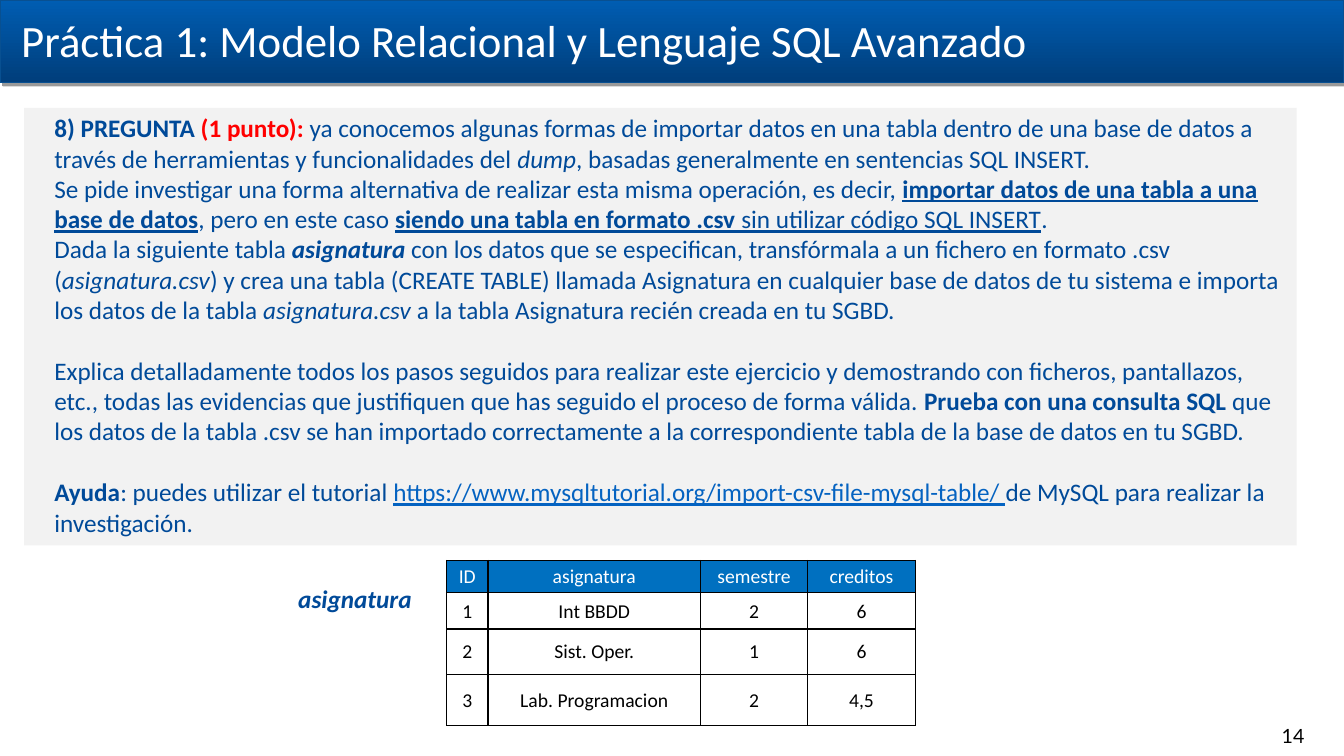
import pptx
import pptx.dml.color
import pptx.enum.shapes
import pptx.enum.text
import pptx.oxml
import pptx.oxml.ns
import pptx.util
from pptx.util import Inches

NAVY = "004A99"
BLACK = "000000"
WHITE = "FFFFFF"
ALIGN = pptx.enum.text.PP_ALIGN
ANCHOR = pptx.enum.text.MSO_ANCHOR
AUTO_SIZE = pptx.enum.text.MSO_AUTO_SIZE
RECTANGLE = pptx.enum.shapes.MSO_SHAPE.RECTANGLE
NAMESPACE = pptx.oxml.ns.nsdecls("a")

QUESTION = [
    [("8) PREGUNTA ", "b"), ("(1 punto): ", "b", "FF0000"),
     ("ya conocemos algunas formas de importar datos en una tabla dentro de una base de datos a través de "
      "herramientas y funcionalidades del ", ""),
     ("dump", "i"), (", basadas generalmente en sentencias SQL INSERT.", "")],
    [("Se pide investigar una forma alternativa de realizar esta misma operación, es decir, ", ""),
     ("importar datos de una tabla a una base de datos", "bu"), (", pero en este caso ", ""),
     ("siendo una tabla en formato .csv ", "bu"), ("sin utilizar código SQL INSERT", "u"), (".", "")],
    [("Dada la siguiente tabla ", ""), ("asignatura", "bi"),
     (" con los datos que se especifican, transfórmala a un fichero en formato .csv (", ""),
     ("asignatura.csv", "i"),
     (") y crea una tabla (CREATE TABLE) llamada Asignatura en cualquier base de datos de tu sistema e importa "
      "los datos de la tabla ", ""),
     ("asignatura.csv ", "i"), ("a la tabla Asignatura recién creada en tu SGBD.", "")],
    [("Explica detalladamente todos los pasos seguidos para realizar este ejercicio y demostrando con ficheros, "
      "pantallazos, etc., todas las evidencias que justifiquen que has seguido el proceso de forma válida. ", ""),
     ("Prueba con una consulta SQL ", "b"),
     ("que los datos de la tabla .csv se han importado correctamente a la correspondiente tabla de la base de "
      "datos en tu SGBD.", "")],
    [("Ayuda", "b"), (": puedes utilizar el tutorial ", ""),
     ("https://www.mysqltutorial.org/import-csv-file-mysql-table/ ", "u", "0563C1"),
     ("de MySQL para realizar la investigación.", "")],
]
PARAGRAPHS_AFTER_GAP = (3, 4)

SUBJECTS = [
    ["ID", "asignatura", "semestre", "creditos"],
    ["1", "Int BBDD", "2", "6"],
    ["2", "Sist. Oper.", "1", "6"],
    ["3", "Lab. Programacion", "2", "4,5"],
]
COLUMN_WIDTHS = [0.41, 2.11, 1.06, 1.07]
ROW_HEIGHTS = [0.32, 0.36, 0.45, 0.51]


def rgb(color):
    return pptx.dml.color.RGBColor.from_string(color)


def set_font(font, size, color, name="Calibri"):
    font.name = name
    font.size = pptx.util.Pt(size)
    font.color.rgb = rgb(color)


def add_span(para, text, style, color=None):
    span = para.add_run()
    span.text = text
    if "b" in style:
        span.font.bold = True
    if "i" in style:
        span.font.italic = True
    if "u" in style:
        span.font.underline = True
    if color:
        span.font.color.rgb = rgb(color)


def add_header_bar(page):
    bar = page.shapes.add_shape(RECTANGLE, 0, 0, Inches(13.33), Inches(0.82))
    bar.fill.gradient()
    bar.fill.gradient_angle = 270
    for stop, color in zip(bar.fill.gradient_stops, ("005DB2", "003E7B")):
        stop.color.rgb = rgb(color)
    bar.line.color.rgb = rgb("085091")
    bar.line.width = pptx.util.Pt(1)
    bar.shadow.inherit = False
    effects = bar.element.spPr.find(pptx.oxml.ns.qn("a:effectLst"))
    effects.append(pptx.oxml.parse_xml(
        f'<a:outerShdw {NAMESPACE} blurRad="0" dist="38100" dir="2700000" algn="tl" rotWithShape="0">'
        f'<a:srgbClr val="{BLACK}"><a:alpha val="40000"/></a:srgbClr></a:outerShdw>'))


def place_title(page, text):
    title = page.shapes.title
    title.left, title.top = Inches(0.11), Inches(0.07)
    title.width, title.height = Inches(12.63), Inches(0.64)
    frame = title.text_frame
    frame.text = text
    frame.auto_size = AUTO_SIZE.NONE
    frame.vertical_anchor = ANCHOR.MIDDLE
    frame.paragraphs[0].alignment = ALIGN.LEFT
    set_font(frame.paragraphs[0].font, 32, WHITE)
    title.element.getparent().append(title.element)


def add_question(page):
    panel = page.shapes.add_shape(RECTANGLE, Inches(0.24), Inches(1.07), Inches(12.62), Inches(4.34))
    panel.shadow.inherit = False
    panel.fill.solid()
    panel.fill.fore_color.rgb = rgb("F2F2F2")
    panel.line.fill.background()
    frame = panel.text_frame
    frame.word_wrap = True
    frame.vertical_anchor = ANCHOR.TOP
    frame.auto_size = AUTO_SIZE.SHAPE_TO_FIT_TEXT
    for index, spans in enumerate(QUESTION):
        para = frame.add_paragraph() if index else frame.paragraphs[0]
        para.alignment = ALIGN.LEFT
        para._p.get_or_add_pPr().set("marL", str(Inches(0.2)))
        if index in PARAGRAPHS_AFTER_GAP:
            para.space_before = pptx.util.Pt(22)
        set_font(para.font, 18, NAVY)
        for span in spans:
            add_span(para, *span)


def add_label(page, text, left, top, width, height, size, color, name="Calibri", style="", align=ALIGN.LEFT):
    box = page.shapes.add_textbox(Inches(left), Inches(top), Inches(width), Inches(height))
    frame = box.text_frame
    frame.word_wrap = True
    frame.auto_size = AUTO_SIZE.SHAPE_TO_FIT_TEXT
    para = frame.paragraphs[0]
    para.alignment = align
    set_font(para.font, size, color, name)
    add_span(para, text, style)


def add_borders(cell):
    properties = cell._tc.get_or_add_tcPr()
    for side in "LRTB":
        properties.append(pptx.oxml.parse_xml(
            f'<a:ln{side} {NAMESPACE} w="12700"><a:solidFill><a:srgbClr val="{BLACK}"/></a:solidFill></a:ln{side}>'))


def fill_cell(cell, text, is_header):
    cell.margin_left = cell.margin_right = cell.margin_top = Inches(0.01)
    cell.margin_bottom = 0
    cell.vertical_anchor = ANCHOR.MIDDLE
    add_borders(cell)
    if is_header:
        cell.fill.solid()
        cell.fill.fore_color.rgb = rgb("0070C0")
    else:
        cell.fill.background()
    cell.text = text
    para = cell.text_frame.paragraphs[0]
    para.alignment = ALIGN.CENTER
    set_font(para.font, 14, WHITE if is_header else BLACK)


def add_subject_table(page):
    table = page.shapes.add_table(
        len(SUBJECTS), len(COLUMN_WIDTHS), Inches(4.43), Inches(5.56),
        Inches(sum(COLUMN_WIDTHS)), Inches(sum(ROW_HEIGHTS))).table
    table.first_row = table.horz_banding = False
    for column, width in zip(table.columns, COLUMN_WIDTHS):
        column.width = Inches(width)
    for row_index, (row, height) in enumerate(zip(table.rows, ROW_HEIGHTS)):
        row.height = Inches(height)
        for cell, text in zip(row.cells, SUBJECTS[row_index]):
            fill_cell(cell, text, row_index == 0)


def main():
    deck = pptx.Presentation()
    deck.slide_width, deck.slide_height = Inches(13.33), Inches(7.5)
    page = deck.slides.add_slide(deck.slide_layouts.get_by_name("Title Only"))
    add_header_bar(page)
    place_title(page, "Práctica 1: Modelo Relacional y Lenguaje SQL Avanzado")
    add_question(page)
    add_subject_table(page)
    add_label(page, "asignatura", 2.86, 5.74, 1.57, 0.4, 18, NAVY, style="bi")
    add_label(page, "14", 12.42, 7.13, 0.81, 0.34, 14, BLACK, name="Lato", align=ALIGN.CENTER)
    deck.save("out.pptx")


if __name__ == "__main__":
    main()
